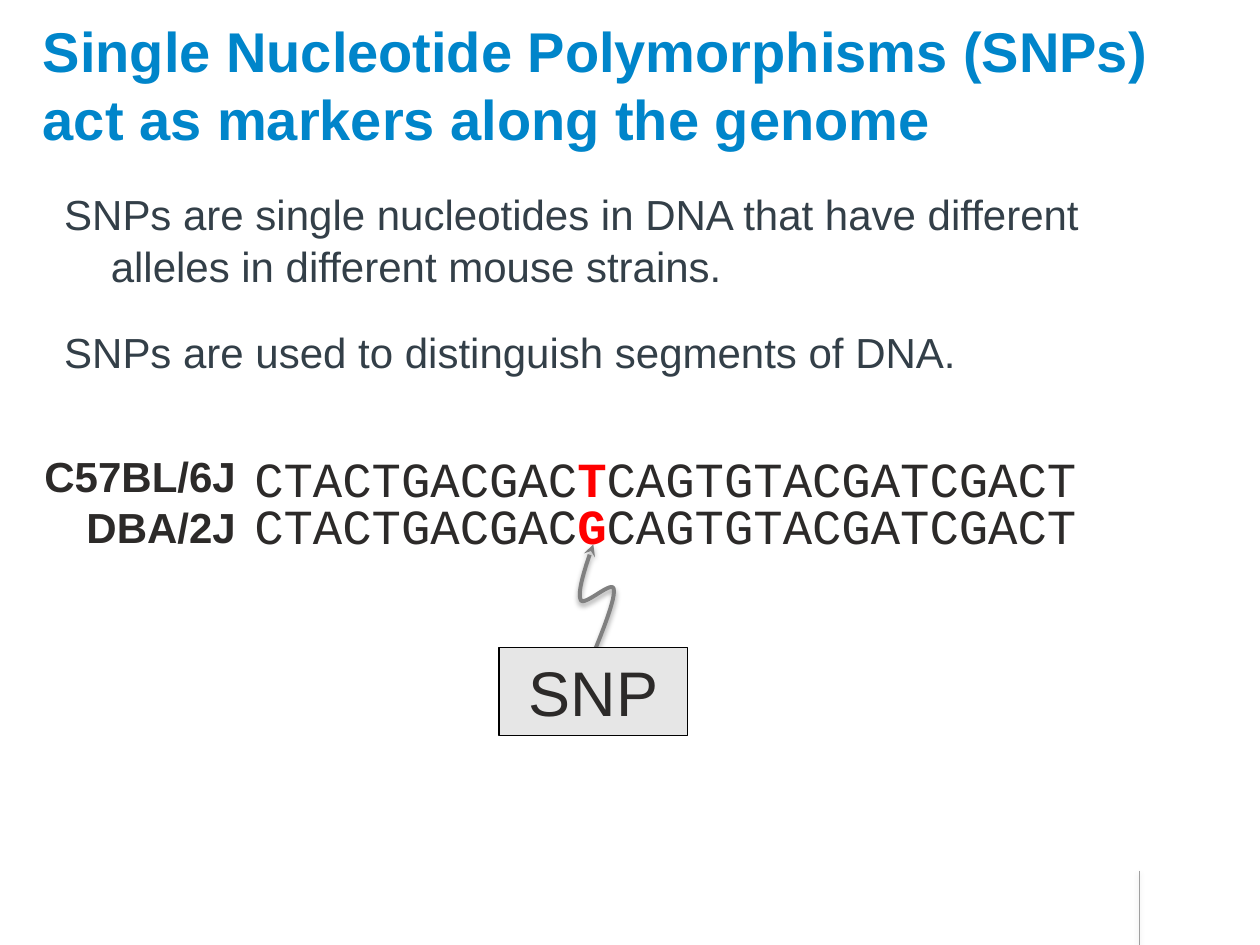
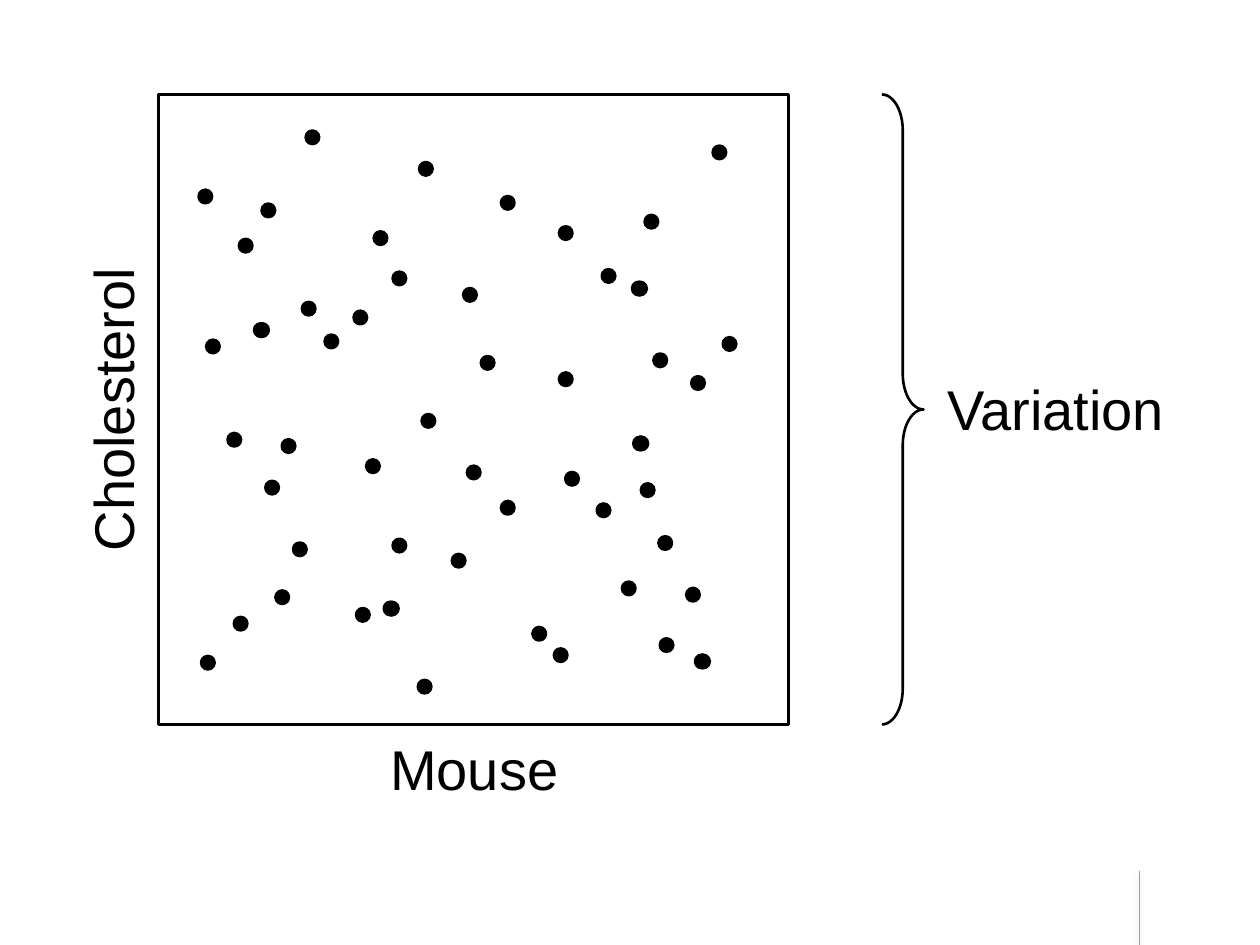
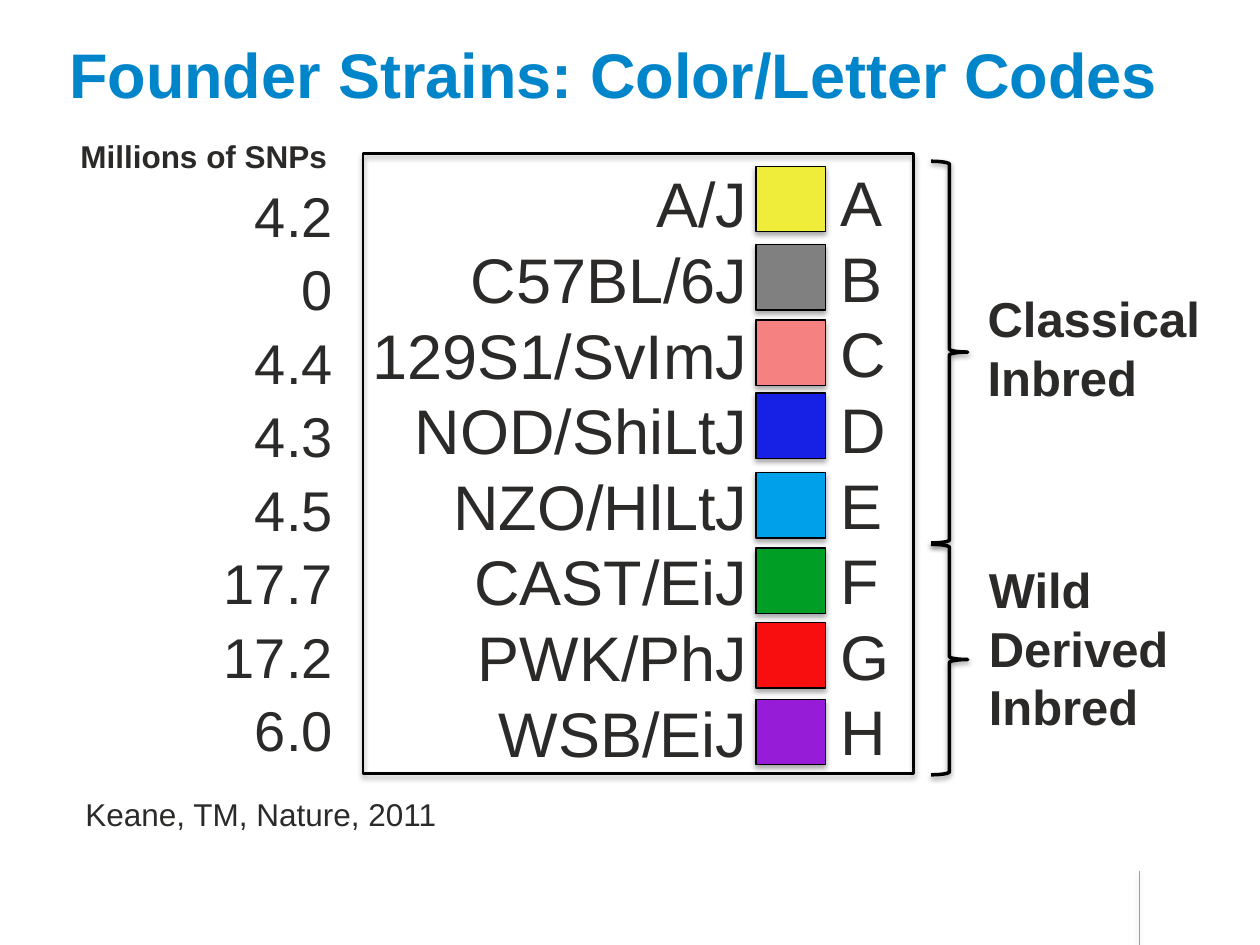
from lxml import etree
from pptx import Presentation
from pptx.dml.color import RGBColor
from pptx.enum.shapes import MSO_CONNECTOR as Connector, MSO_SHAPE as Shape
from pptx.enum.text import MSO_ANCHOR as Anchor, PP_ALIGN as Align
from pptx.oxml.ns import qn
from pptx.util import Inches, Pt

BLUE = RGBColor(0x00, 0x85, 0xCA)
SLATE = RGBColor(0x33, 0x3F, 0x48)
INK = RGBColor(0x2C, 0x2A, 0x29)
BLACK = RGBColor(0x00, 0x00, 0x00)
RED = RGBColor(0xFF, 0x00, 0x00)
GRAY = RGBColor(0x80, 0x80, 0x80)
RULE_GRAY = RGBColor(0xA0, 0xA0, 0xA0)
LABEL_GRAY = RGBColor(0xE6, 0xE6, 0xE6)

STRAINS = [
    ("A/J", "4.2", 1.32, RGBColor(0xEF, 0xED, 0x39)),
    ("C57BL/6J", "0", 1.94, GRAY),
    ("129S1/SvImJ", "4.4", 2.54, RGBColor(0xF5, 0x81, 0x81)),
    ("NOD/ShiLtJ", "4.3", 3.12, RGBColor(0x17, 0x21, 0xE6)),
    ("NZO/HlLtJ", "4.5", 3.75, RGBColor(0x00, 0xA1, 0xEA)),
    ("CAST/EiJ", "17.7", 4.35, RGBColor(0x00, 0x9E, 0x25)),
    ("PWK/PhJ", "17.2", 4.94, RGBColor(0xF8, 0x0E, 0x0E)),
    ("WSB/EiJ", "6.0", 5.55, RGBColor(0x96, 0x1C, 0xD7)),
]

MICE = [
    (2.02, 2.57), (5.02, 2.24), (5.52, 5.2), (5.03, 3.47), (3.05, 4.78),
    (2.43, 1.04), (1.9, 1.9), (1.86, 4.9), (2.24, 3.49), (2.19, 4.69),
    (2.03, 2.57), (1.81, 3.44), (2.33, 4.31), (1.6, 5.21), (3.35, 3.29),
    (3.59, 4.4), (2.83, 4.83), (5.03, 2.24), (3.12, 4.28), (5.49, 2.99),
    (4.44, 1.8), (5.74, 2.68), (5.24, 5.07), (5.53, 5.2), (2.08, 1.62),
    (3.33, 1.29), (2.91, 3.65), (2.81, 2.47), (2.11, 3.82), (3.68, 2.29),
    (5.12, 1.71), (3.82, 2.83), (3.98, 3.98), (3.71, 3.7), (4.44, 2.96),
    (5.19, 2.81), (4.49, 3.75), (5.04, 3.47), (5.09, 3.84), (4.94, 4.62),
    (5.23, 4.26), (5.45, 4.67), (5.66, 1.16), (2.58, 2.66), (2.97, 1.84),
    (3.12, 2.16), (3.98, 1.56), (4.78, 2.14), (4.74, 4), (1.64, 2.7),
    (1.58, 1.51), (2.4, 2.4), (3.06, 4.78), (3.32, 5.4), (4.23, 4.98),
    (4.4, 5.15),
]


def bezier(start, control_1, control_2, end, steps=24):
    for step in range(1, steps + 1):
        t = step / steps
        weights = ((1 - t) ** 3, 3 * t * (1 - t) ** 2, 3 * t * t * (1 - t), t ** 3)
        points = (start, control_1, control_2, end)
        yield tuple(
            Inches(sum(w * point[axis] for w, point in zip(weights, points)))
            for axis in (0, 1)
        )


class Slides:
    def __init__(self):
        self.deck = Presentation()
        self.deck.slide_width = Inches(10)
        self.deck.slide_height = Inches(7.5)
        self.page = None

    def new_page(self):
        self.page = self.deck.slides.add_slide(self.deck.slide_layouts[6])
        ends = [Inches(value) for value in (9.04, 6.91, 9.04, 7.5)]
        rule = self.page.shapes.add_connector(Connector.STRAIGHT, *ends)
        self.outline(rule, RULE_GRAY, 0.25, shadow=(38, 1.6))

    def outline(self, shape, color, width, shadow=None):
        shape.line.color.rgb = color
        shape.line.width = Pt(width)
        effects = etree.SubElement(shape.element.spPr, qn("a:effectLst"))
        if shadow:
            opacity, distance = shadow
            outer = etree.SubElement(
                effects, qn("a:outerShdw"), blurRad=str(Pt(3.1)),
                dist=str(Pt(distance)), dir="5400000", rotWithShape="0")
            tint = etree.SubElement(outer, qn("a:srgbClr"), val=str(BLACK))
            etree.SubElement(tint, qn("a:alpha"), val=str(opacity * 1000))

    def shape(self, kind, at, fill=None, line=BLACK, width=0.75, shadow=None):
        box = self.page.shapes.add_shape(kind, *map(Inches, at))
        if fill is None:
            box.fill.background()
        else:
            box.fill.solid()
            box.fill.fore_color.rgb = fill
        self.outline(box, line, width, shadow)
        return box

    def brace(self, at, curve, width, shadow=None):
        brace = self.shape(Shape.RIGHT_BRACE, at, width=width, shadow=shadow)
        brace.adjustments[0] = curve

    def arrow(self, start, curves):
        builder = self.page.shapes.build_freeform(*map(Inches, start))
        for curve in curves:
            builder.add_line_segments(list(bezier(start, *curve)), close=False)
            start = curve[-1]
        arrow = builder.convert_to_shape()
        arrow.fill.background()
        self.outline(arrow, GRAY, 2.25, shadow=(35, 1.8))
        line = arrow.element.spPr.find(qn("a:ln"))
        etree.SubElement(line, qn("a:tailEnd"), type="stealth")

    def set_text(self, box, paragraphs, size, color=INK, bold=False, name="Arial",
                 left=0.1, anchor=Anchor.TOP, **layout):
        frame = box.text_frame
        settings = dict(
            word_wrap=True, vertical_anchor=anchor, margin_left=Inches(left),
            margin_right=Inches(0.1), margin_top=Inches(0.05),
            margin_bottom=Inches(0.05))
        for key, value in settings.items():
            setattr(frame, key, value)
        for index, spans in enumerate(paragraphs):
            para = frame.add_paragraph() if index else frame.paragraphs[0]
            for key, value in layout.items():
                if index or key != "space_before":
                    setattr(para, key, value)
            for words, change in [(spans, {})] if isinstance(spans, str) else spans:
                span = para.add_run()
                span.text = words
                look = dict(size=Pt(size), bold=bold, name=name, color=color) | change
                span.font.color.rgb = look.pop("color")
                for key, value in look.items():
                    setattr(span.font, key, value)

    def text(self, at, paragraphs, size, **style):
        box = self.page.shapes.add_textbox(*map(Inches, at))
        self.set_text(box, paragraphs, size, **style)
        return box

    def title(self, at, words, size):
        self.text(at, [words], size, color=BLUE, bold=True, left=0, anchor=Anchor.BOTTOM)


def hanging(box, left, indent):
    for para in box.text_frame.paragraphs:
        properties = para._p.get_or_add_pPr()
        properties.set("marL", str(Inches(left)))
        properties.set("indent", str(Inches(indent)))


def snp_page(slides):
    slides.new_page()
    body = slides.text(
        (0.5, 1.44, 9, 5.26),
        ["SNPs are single nucleotides in DNA that have different alleles in "
         "different mouse strains.",
         "SNPs are used to distinguish segments of DNA."],
        24, color=SLATE, left=0, line_spacing=1.02, space_before=Pt(6),
        space_after=Pt(14))
    hanging(body, 0.38, -0.37)
    slides.title(
        (0.34, 0.62, 9.31, 0.63),
        "Single Nucleotide Polymorphisms (SNPs) act as markers along the genome", 32)
    for top, allele in ((3.51, "T"), (3.88, "G")):
        sequence = [("CTACTGACGAC", {}), (allele, dict(color=RED, bold=True)),
                    ("CAGTGTACGATCGACT", {})]
        slides.text((1.92, top, 6.92, 0.56), [sequence], 28, name="Courier New")
    slides.arrow((4.73, 5.14), [
        ((4.81, 4.94), (4.89, 4.73), (4.87, 4.67)),
        ((4.85, 4.61), (4.63, 4.82), (4.61, 4.76)),
        ((4.58, 4.71), (4.64, 4.51), (4.71, 4.32)),
    ])
    label = slides.shape(Shape.RECTANGLE, (3.96, 5.14, 1.5, 0.7), LABEL_GRAY)
    slides.set_text(label, ["SNP"], 36, alignment=Align.CENTER)
    slides.text((0.2, 3.53, 1.77, 1.3), ["C57BL/6J", "DBA/2J"], 24, bold=True,
                alignment=Align.RIGHT)


def variation_page(slides):
    slides.new_page()
    slides.shape(Shape.RECTANGLE, (1.26, 0.75, 5, 5), width=2)
    axis_style = dict(color=BLACK, alignment=Align.CENTER)
    axis = slides.text((-1.59, 2.93, 4.97, 0.64), ["Cholesterol"], 32, **axis_style)
    axis.rotation = 270
    slides.text((1.28, 5.78, 4.97, 0.64), ["Mouse"], 32, **axis_style)
    for left, top in MICE:
        slides.shape(Shape.OVAL, (left, top, 0.1, 0.1), BLACK, width=2)
    slides.brace((7, 0.75, 0.33, 5), 0.861, 1.5)
    slides.text((7.42, 2.92, 2.33, 0.64), ["Variation"], 32, color=BLACK)


def founder_page(slides):
    slides.new_page()
    slides.title((0.55, 0.3, 9.1, 0.63), "Founder Strains: Color/Letter Codes", 36)
    names, counts, tops, colors = zip(*STRAINS)
    slides.text((2.74, 1.26, 3.29, 4.9), names, 36, alignment=Align.RIGHT)
    for top, color in zip(tops, colors):
        slides.shape(Shape.RECTANGLE, (6, top, 0.55, 0.52), color, shadow=(35, 1.8))
    slides.shape(Shape.RECTANGLE, (2.88, 1.22, 4.37, 4.92), width=1.5, shadow=(35, 1.8))
    slides.text((6.57, 1.25, 3.29, 4.9), "ABCDEFGH", 36)
    groups = [
        ("Classical Inbred", (7.39, 1.28, 0.29, 3.03), (7.74, 2.24, 2.04, 1.03)),
        ("Wild Derived Inbred", (7.39, 4.32, 0.29, 1.83), (7.75, 4.39, 2.04, 1.5)),
    ]
    for group, brace_at, label_at in groups:
        slides.brace(brace_at, 0.083, 2, shadow=(38, 1.6))
        slides.text(label_at, [group], 28, bold=True)
    heading = [("Millions of SNPs", dict(size=Pt(18), bold=True))]
    column = slides.text((0.54, 1.04, 2.2, 5.07), [heading, *counts], 32)
    for para in column.text_frame.paragraphs[1:]:
        para.alignment = Align.RIGHT
        para.line_spacing = Pt(42)
    slides.text((0.58, 6.26, 4.1, 0.4), ["Keane, TM, Nature, 2011"], 18)


def main():
    slides = Slides()
    snp_page(slides)
    variation_page(slides)
    founder_page(slides)
    slides.deck.save("out.pptx")


if __name__ == "__main__":
    main()
